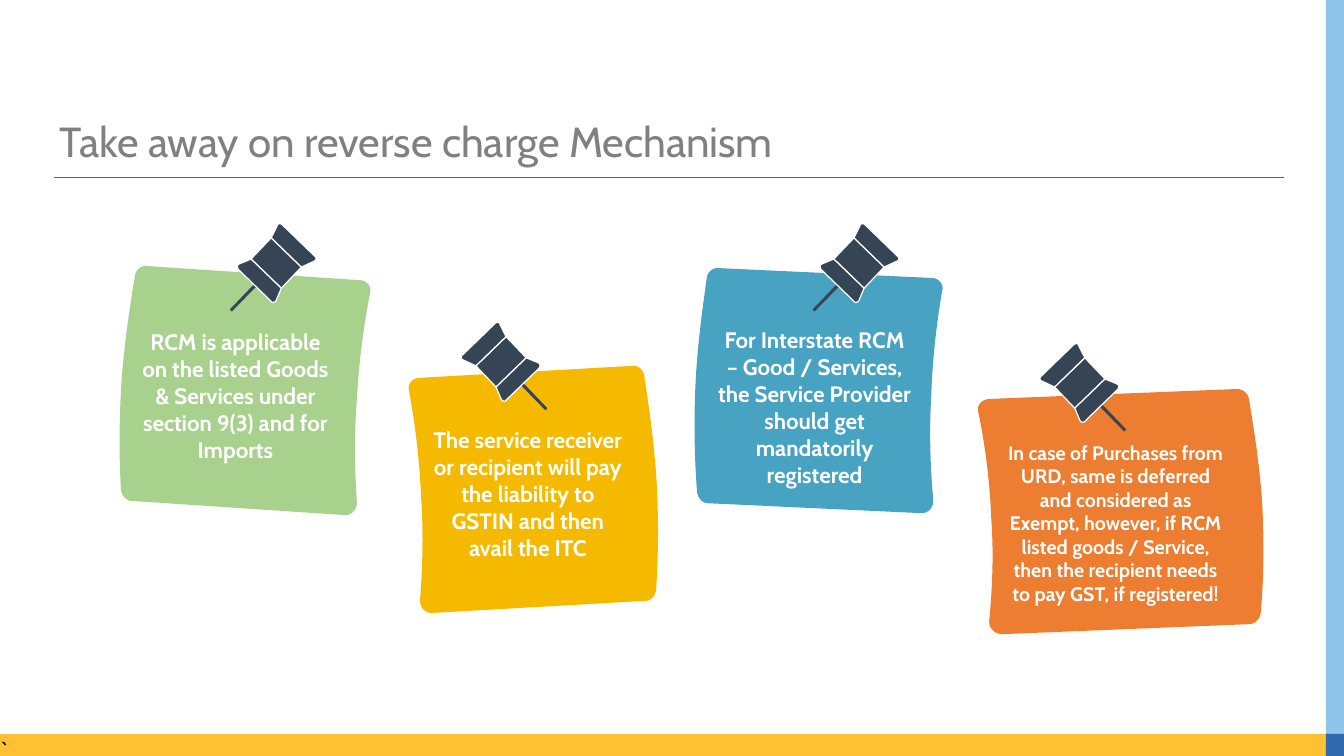
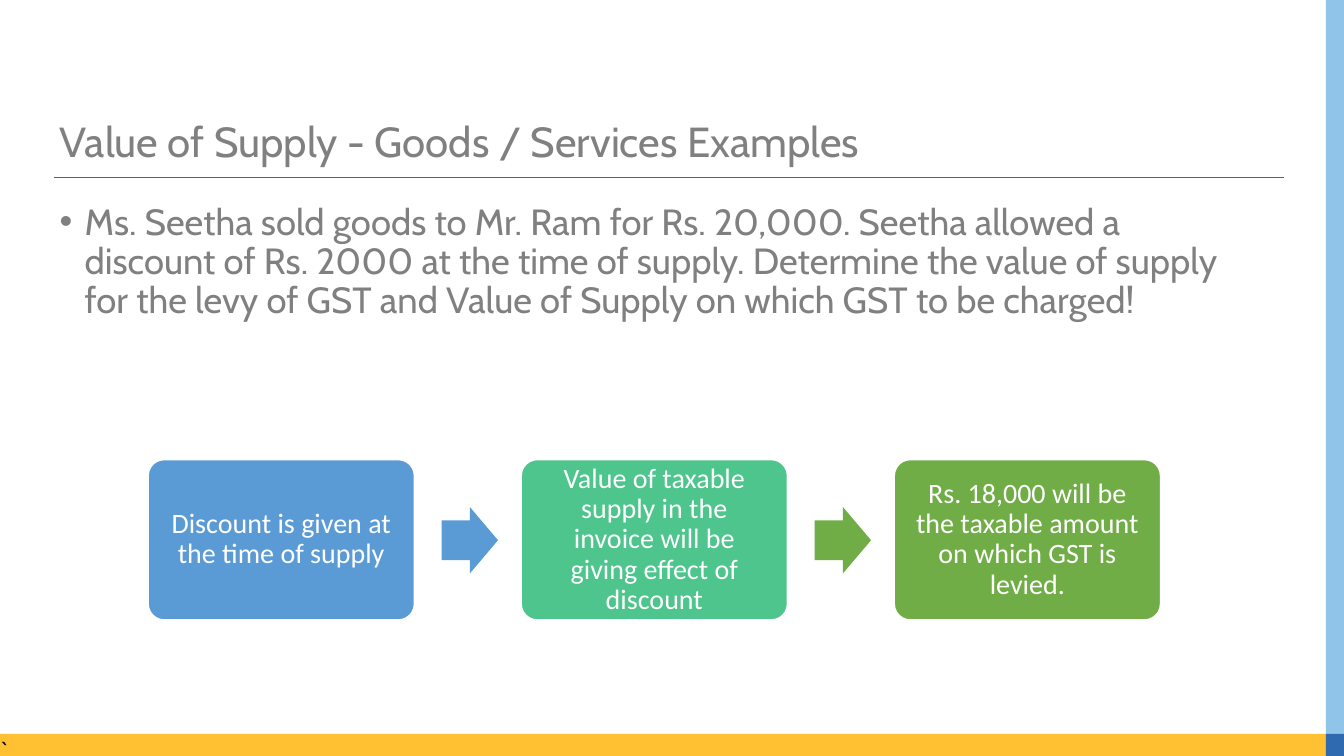
from lxml import etree
from pptx import Presentation
from pptx import util as u
from pptx.dml.color import RGBColor
from pptx.enum import shapes, text
from pptx.oxml import ns

PX = 9144
WIDTH, HEIGHT = 1333, 750
SHAPE = shapes.MSO_SHAPE
LEFT, CENTER = text.PP_ALIGN.LEFT, text.PP_ALIGN.CENTER
TOP, MIDDLE = text.MSO_ANCHOR.TOP, text.MSO_ANCHOR.MIDDLE
FIXED, GROW = text.MSO_AUTO_SIZE.NONE, text.MSO_AUTO_SIZE.SHAPE_TO_FIT_TEXT

THEME = {
    "white": "FFFFFF", "black": "000000", "grey": "808080",
    "yellow": "FFC031", "sky": "90C4E9", "navy": "2F69B0", "pin": "364556",
    "lime": "A9D18E", "gold": "F5BA00", "teal": "48A3C2", "orange": "ED7D31",
    "blue": "5B9BD5", "mint": "4DC58D", "green": "70AD47",
    "title": {"name": "Cabin", "size": u.Pt(30), "bold": False},
    "body": {"name": "Cabin", "size": u.Pt(26), "bold": False},
    "note": {"name": "Cabin", "size": u.Pt(16), "bold": True},
    "small note": {"name": "Cabin", "size": u.Pt(14), "bold": True},
    "step": {"name": "Calibri", "size": u.Pt(20), "bold": False},
    "mark": {"name": "Calibri", "size": u.Pt(18), "bold": False},
}


def paint(shape, fill, line=None, weight=1):
    shape.shadow.inherit = False
    shape.fill.solid()
    shape.fill.fore_color.rgb = RGBColor.from_string(THEME[fill])
    if line:
        shape.line.color.rgb = RGBColor.from_string(THEME[line])
        shape.line.width = u.Pt(weight)
    else:
        shape.line.fill.background()


def write(shape, words, style, color, align=LEFT, anchor=TOP, fit=FIXED, spacing=1.0, inset=None):
    frame = shape.text_frame
    frame_format = {"word_wrap": True, "vertical_anchor": anchor, "auto_size": fit}
    if inset is not None:
        for side in ("left", "top", "right", "bottom"):
            frame_format["margin_" + side] = inset * PX
    para = frame.paragraphs[0]
    span = para.add_run()
    span.text = words
    span.font.color.rgb = RGBColor.from_string(THEME[color])
    para_format = {"alignment": align, "line_spacing": spacing, "space_before": u.Pt(0)}
    for target, values in ((frame, frame_format), (para, para_format), (span.font, THEME[style])):
        for name, value in values.items():
            setattr(target, name, value)
    return para


deck = Presentation()
deck.slide_width, deck.slide_height = WIDTH * PX, HEIGHT * PX

pages = []
for layout, heading in [
    (5, "Take away on reverse charge Mechanism"),
    (1, "Value of Supply - Goods / Services Examples"),
]:
    page = deck.slides.add_slide(deck.slide_layouts[layout])
    title = page.shapes.title
    title.left, title.top, title.width, title.height = [n * PX for n in (49, 118, 1220, 50)]
    write(title, heading, "title", "grey", anchor=MIDDLE, spacing=0.9)
    pages.append(page)
notes_page, supply_page = pages

rule = notes_page.shapes.add_connector(
    shapes.MSO_CONNECTOR.STRAIGHT, 54 * PX, 176 * PX, 1273 * PX, 176 * PX)
rule.line.color.rgb = RGBColor.from_string(THEME["navy"])
rule.line.width = u.Pt(0.82)
etree.SubElement(rule.element.spPr, ns.qn("a:effectLst"))
frame_parts = [rule]
for left, top, right, bottom, color, mark in [
    (0, 728, 1325, HEIGHT, "yellow", "`"),
    (1315, 0, WIDTH, 743, "sky", ""),
    (1315, 728, WIDTH, HEIGHT, "navy", ""),
]:
    band = notes_page.shapes.add_shape(
        SHAPE.RECTANGLE, left * PX, top * PX, (right - left) * PX, (bottom - top) * PX)
    paint(band, color)
    if mark:
        write(band, mark, "mark", "black", inset=0)
    frame_parts.append(band)
for number, part in enumerate(frame_parts, start=20):
    part.element.xpath(".//p:cNvPr")[0].set("id", str(number))
    deck.slide_master.element.cSld.spTree.append(part.element)

NOTE = [
    (195, 247), (-15, 233), (-21, 233, -25, 228, -26, 222),
    (-28, 188, -28, 150, -25, 108), (-22, 72, -17, 39, -12, 9),
    (-11, 3, -5, -1, 0, 0), (211, 14), (218, 14, 223, 21, 221, 27),
    (215, 58, 210, 93, 208, 132), (205, 169, 206, 204, 208, 235),
    (208, 242, 202, 248, 195, 247),
]
NEEDLE = [(2, 88), (0, 86), (45, 39), (47, 42)]
BARREL = [(51, 65), (21, 36), (41, 15), (71, 44)]
CAP = [(84, 33), (52, 2), (50, 0, 47, 1, 47, 3), (41, 15), (71, 44),
       (84, 38), (86, 37, 86, 34, 84, 33)]
COLLAR = [(41, 78), (9, 47), (7, 45, 7, 42, 9, 41), (21, 36), (51, 65),
          (46, 77), (45, 79, 42, 80, 41, 78)]
CURVE_STEPS = 10

for color, note_at, stretch, lean, pin_at, text_at, style, words in [
    ("lime", (146, 264), 1, 0, (228, 221), (130, 321, 207, 145), "note",
     "RCM is applicable on the listed Goods & Services under section 9(3) and for Imports"),
    ("gold", (627, 363), -1, 0.01, (543, 319), (419, 418, 209, 145), "note",
     "The service receiver or recipient will pay the liability to GSTIN and then avail the ITC"),
    ("teal", (713, 266), 1, 0.02, (806, 221), (701, 319, 214, 172), "note",
     "For Interstate RCM – Good / Services, the Service Provider should get mandatorily registered"),
    ("orange", (1225, 386), -1.15, 0.02, (1117, 340), (986, 432, 241, 175), "small note",
     "In case of Purchases from URD, same is deferred and considered as Exempt, however, "
     "if RCM listed goods / Service, then the recipient needs to pay GST, if registered!"),
]:
    side = 1 if stretch > 0 else -1
    for outline, (left, top), scale, tilt, fill, line in [
        (NOTE, note_at, stretch, lean, color, None),
        (NEEDLE, pin_at, side, 0, "pin", None),
        (BARREL, pin_at, side, 0, "pin", "white"),
        (CAP, pin_at, side, 0, "pin", "white"),
        (COLLAR, pin_at, side, 0, "pin", "white"),
    ]:
        points = []
        for step in outline:
            if len(step) == 2:
                points.append(step)
                continue
            controls = [points[-1], step[:2], step[2:4], step[4:]]
            for count in range(1, CURVE_STEPS + 1):
                t = count / CURVE_STEPS
                weights = ((1 - t) ** 3, 3 * t * (1 - t) ** 2, 3 * t * t * (1 - t), t ** 3)
                points.append(tuple(
                    sum(w * c[axis] for w, c in zip(weights, controls)) for axis in (0, 1)))
        placed = [(round((left + scale * x + side * tilt * y) * PX),
                   round((top + y - tilt * x) * PX)) for x, y in points]
        builder = notes_page.shapes.build_freeform(*placed[0])
        builder.add_line_segments(placed[1:], close=True)
        paint(builder.convert_to_shape(), fill, line, 0.88)
    box = notes_page.shapes.add_textbox(*[n * PX for n in text_at])
    write(box, words, style, "white", align=CENTER, fit=GROW)

body = supply_page.placeholders[1]
body.left, body.top, body.width, body.height = [n * PX for n in (49, 197, 1180, 506)]
para = write(
    body,
    "Ms. Seetha sold goods to Mr. Ram for Rs. 20,000. Seetha allowed a discount of Rs. 2000 "
    "at the time of supply. Determine the value of supply for the levy of GST and Value of "
    "Supply on which GST to be charged!",
    "body", "grey", spacing=0.9)
properties = para._p.get_or_add_pPr()
properties.set("marL", str(25 * PX))
properties.set("indent", str(-25 * PX))
etree.SubElement(properties, ns.qn("a:buFont"), typeface="Arial")
etree.SubElement(properties, ns.qn("a:buChar"), char="•")

STEP_LEFT, STEP_PITCH, ARROW_OFFSET = 147, 370, 291
for index, (color, arrow_color, words) in enumerate([
    ("blue", "blue", "Discount is given at the time of supply"),
    ("mint", "green", "Value of taxable supply in the invoice will be giving effect of discount"),
    ("green", None, "Rs. 18,000 will be the taxable amount on which GST is levied."),
]):
    left = STEP_LEFT + index * STEP_PITCH
    box = supply_page.shapes.add_shape(
        SHAPE.ROUNDED_RECTANGLE, left * PX, 456 * PX, 264 * PX, 159 * PX)
    box.adjustments[0] = 0.1
    paint(box, color, "white")
    write(box, words, "step", "white", align=CENTER, anchor=MIDDLE, spacing=0.9, inset=12)
    if arrow_color:
        arrow = supply_page.shapes.add_shape(
            SHAPE.RIGHT_ARROW, (left + ARROW_OFFSET) * PX, 503 * PX, 56 * PX, 66 * PX)
        arrow.adjustments[0], arrow.adjustments[1] = 0.6, 0.5
        paint(arrow, arrow_color)

deck.save("out.pptx")
